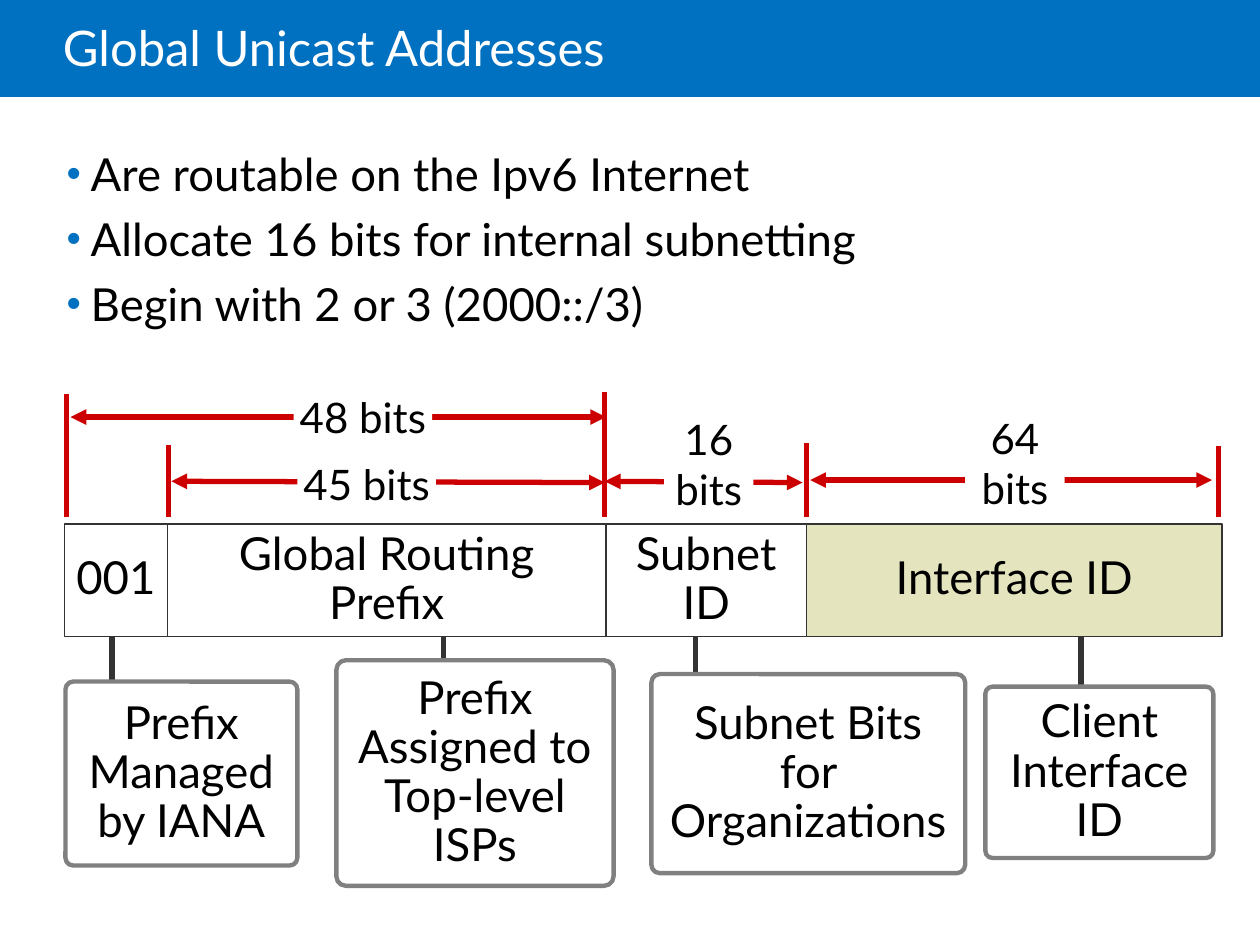
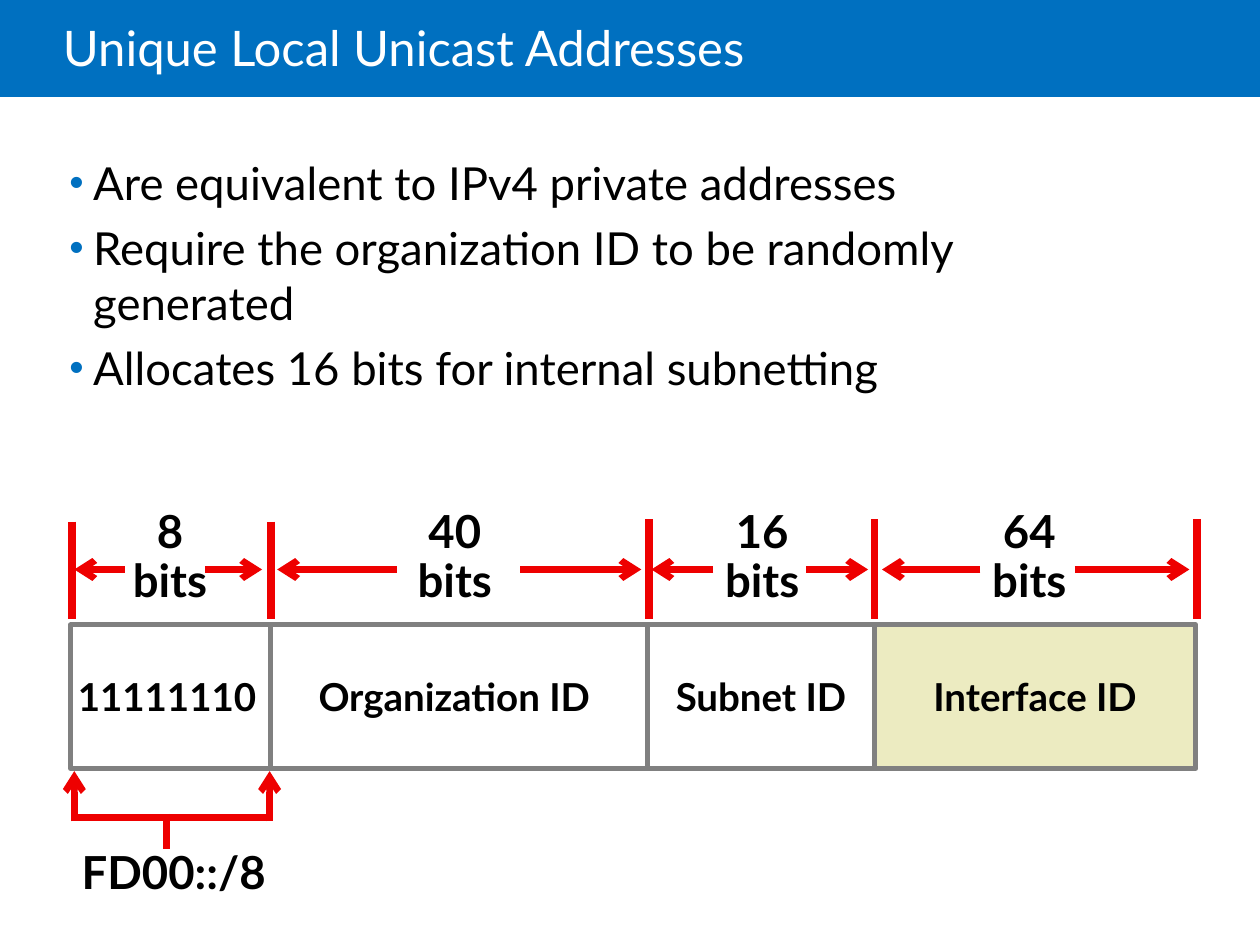
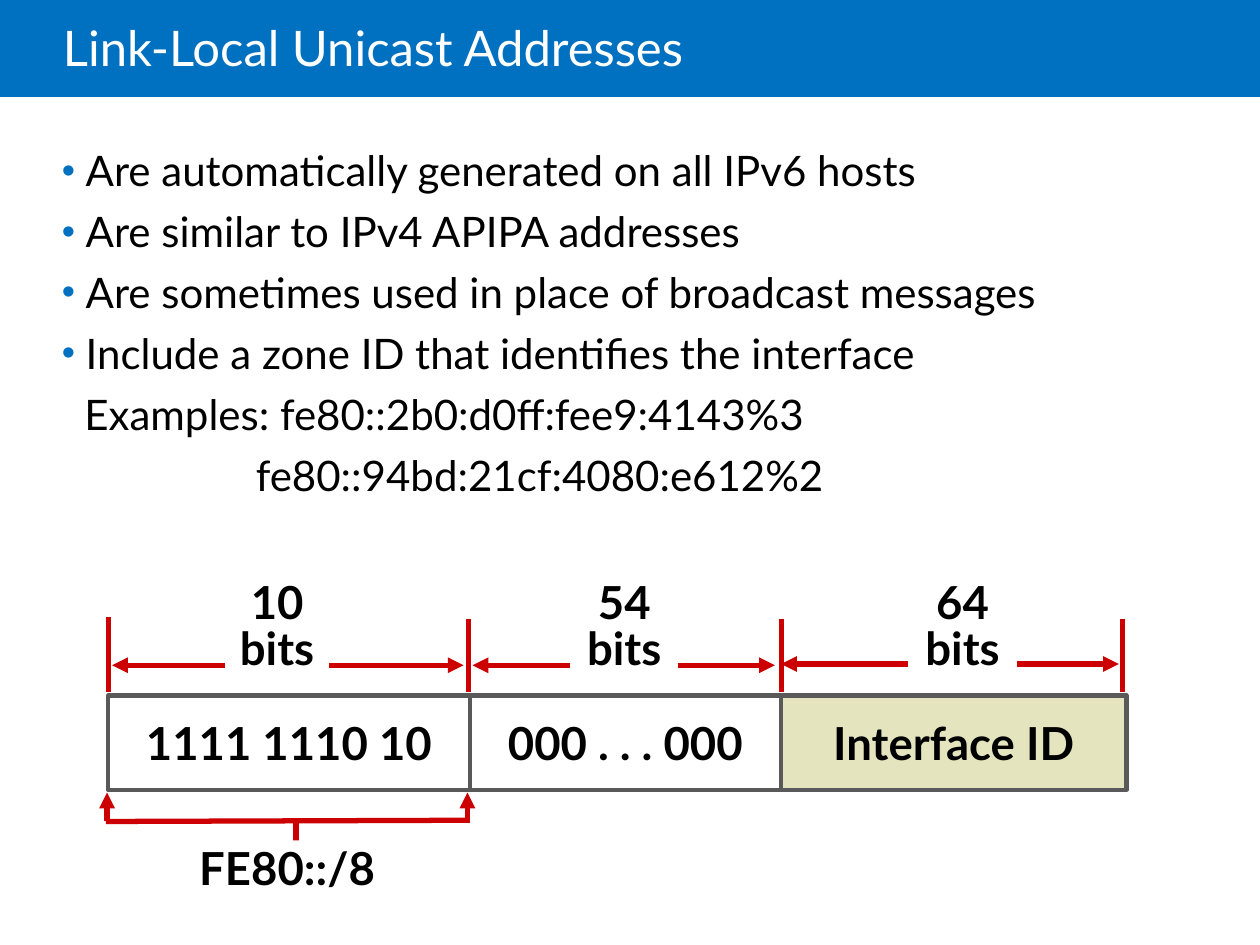
from lxml import etree
from pptx import Presentation
from pptx.dml.color import RGBColor
from pptx.enum import shapes, text
from pptx.oxml.ns import qn
from pptx.util import Inches, Pt

BLUE, WHITE, BLACK = "0070C0", "FFFFFF", "000000"
RED, BRIGHT, DARK, GREY, SLATE = "CC0000", "EE0000", "333333", "808080", "595959"
OLIVE, CREAM = "E4E4BF", "ECEBC1"
RECT = shapes.MSO_SHAPE.RECTANGLE
ROUND = shapes.MSO_SHAPE.ROUNDED_RECTANGLE
TOP, MID = text.MSO_ANCHOR.TOP, text.MSO_ANCHOR.MIDDLE
LEFT, MIDDLE = text.PP_ALIGN.LEFT, text.PP_ALIGN.CENTER
INDENT = 0.19


def rgb(code):
    return RGBColor.from_string(code)


def put(item, **values):
    for name, value in values.items():
        setattr(item, name, value)


def tag(parent, name, **values):
    return etree.SubElement(parent, qn(name), **values)


class Deck:
    font = "Lato"

    def __init__(self):
        self.show = Presentation()
        put(self.show, slide_width=Inches(10), slide_height=Inches(7.5))

    def page(self, title):
        self.slide = self.show.slides.add_slide(self.show.slide_layouts[6])
        self.box((0, 0, 10, 0.77), fill=BLUE)
        self.box((0.5, 0, 8.5, 0.81), [title], 28, kind=None, color=WHITE,
                 align=LEFT, anchor=MID, inset=(0, 0.05, 0.1, 0.05), space=0.85)

    def box(self, at, lines=(), size=26, kind=RECT, fill=None, line=None, width=1, **style):
        spot = [Inches(n) for n in at]
        if kind is None:
            shape = self.slide.shapes.add_textbox(*spot)
        else:
            shape = self.slide.shapes.add_shape(kind, *spot)
            shape.shadow.inherit = False
            if kind == ROUND:
                shape.adjustments[0] = 0.042
            if line:
                shape.line.color.rgb = rgb(line)
                shape.line.width = Pt(width)
            else:
                shape.line.fill.background()
            if fill:
                shape.fill.solid()
                shape.fill.fore_color.rgb = rgb(fill)
            else:
                shape.fill.background()
        if lines:
            self.words(shape.text_frame, lines, size, **style)

    def words(self, frame, lines, size, color=BLACK, bold=False, align=MIDDLE,
              anchor=TOP, inset=(0, 0, 0, 0), space=None, before=0, bullets=0, shifts=()):
        left, top, right, bottom = [Inches(n) for n in inset]
        put(frame, word_wrap=True, vertical_anchor=anchor, margin_left=left,
            margin_top=top, margin_right=right, margin_bottom=bottom)
        for i, line in enumerate(lines):
            para = frame.add_paragraph() if i else frame.paragraphs[0]
            para.text = line
            if i < bullets:
                self.bullet(para)
            elif shifts:
                para._p.get_or_add_pPr().set("marL", str(Inches(shifts[i - bullets])))
            put(para, alignment=align, line_spacing=space)
            if i and before:
                para.space_before = Pt(before)
            put(para.font, name=self.font, size=Pt(size), bold=bold)
            para.font.color.rgb = rgb(color)

    def bullet(self, para):
        props = para._p.get_or_add_pPr()
        props.set("marL", str(Inches(INDENT)))
        props.set("indent", str(-Inches(INDENT)))
        tag(tag(props, "a:buClr"), "a:srgbClr", val=BLUE)
        tag(props, "a:buSzPct", val="90000")
        tag(props, "a:buFont", typeface="Arial")
        tag(props, "a:buChar", char="•")

    def points(self, at, lines, size=26, tail=(), shifts=()):
        self.box(at, [*lines, *tail], size, kind=None, align=LEFT, before=6,
                 bullets=len(lines), shifts=shifts)

    def lines(self, ends, color=RED, width=3, head=None, tail=None):
        for x1, y1, x2, y2 in ends:
            line = self.slide.shapes.add_connector(
                shapes.MSO_CONNECTOR.STRAIGHT, *[Inches(n) for n in (x1, y1, x2, y2)])
            line.line.color.rgb = rgb(color)
            line.line.width = Pt(width)
            stroke = line.line._get_or_add_ln()
            for name, tip in (("a:headEnd", head), ("a:tailEnd", tail)):
                if tip:
                    tag(stroke, name, type=tip)
            tag(line._element.spPr, "a:effectLst")

    def posts(self, marks, foot, **style):
        self.lines([(x, top, x, foot) for x, top in marks], **style)

    def spans(self, ends):
        self.lines(ends, head="triangle", tail="triangle")

    def cells(self, edges, top, height, names, last, **style):
        final = len(edges) - 2
        for i, (left, right) in enumerate(zip(edges, edges[1:])):
            self.box((left, top, right - left, height), names[i] if names else (),
                     fill=last if i == final else None, anchor=MID, **style)


def world(deck):
    deck.page("Global Unicast Addresses")
    deck.lines([(3.52, 5.05, 3.52, 6.45), (0.89, 5.05, 0.89, 5.55),
                (5.52, 5.05, 5.52, 5.55), (8.58, 5.03, 8.58, 6.43)], DARK)
    deck.cells((0.51, 1.33, 4.81, 6.4, 9.7), 4.16, 0.89,
               [["001"], ["Global Routing", "Prefix"], ["Subnet", "ID"], ["Interface ID"]],
               OLIVE, line=DARK, width=0.75, space=0.9)
    deck.spans([(0.56, 3.31, 4.81, 3.31), (1.36, 3.82, 4.8, 3.83),
                (4.8, 3.82, 6.37, 3.83), (6.43, 3.81, 9.62, 3.81)])
    deck.posts([(0.53, 3.13), (1.34, 3.53), (4.8, 3.11), (6.4, 3.52), (9.67, 3.54)], 4.1)
    for name, at in (("48 bits", (2.33, 3.11, 1.1, 0.4)),
                     ("45 bits", (2.36, 3.64, 1.1, 0.4)),
                     ("16 bits", (5.27, 3.28, 0.71, 0.81)),
                     ("64 bits", (7.66, 3.27, 0.79, 0.81))):
        deck.box(at, [name], 24, fill=WHITE, inset=(0.04, 0, 0.04, 0))
    for name, at in (("Prefix Managed\vby IANA", (0.52, 5.41, 1.84, 1.46)),
                     ("Prefix Assigned to Top-level ISPs", (2.67, 5.24, 2.2, 1.79)),
                     ("Subnet Bits for Organizations", (5.17, 5.35, 2.49, 1.58)),
                     ("Client\vInterface ID", (7.82, 5.45, 1.81, 1.36))):
        deck.box(at, [name], kind=ROUND, fill=WHITE, line=GREY, width=2.5,
                 anchor=MID, inset=(0.08, 0.04, 0.08, 0.04), space=0.9)
    deck.points((0.53, 1.16, 7.8, 1.82), [
        "Are routable on the Ipv6 Internet",
        "Allocate 16 bits for internal subnetting",
        "Begin with 2 or 3 (2000::/3)"])


def local(deck):
    deck.page("Unique Local Unicast Addresses")
    deck.cells((0.56, 2.15, 5.14, 6.94, 9.49), 4.96, 1.14, None, CREAM,
               line=GREY, width=2.75)
    for name, left, width in (("11111110", 0.58, 1.49), ("Organization ID", 2.38, 2.45),
                              ("Subnet ID", 5.28, 1.52), ("Interface ID", 7.32, 1.79)):
        deck.box((left, 5.34, width, 0.37), [name], 22, kind=None, bold=True)
    deck.box((0.56, 6.75, 1.64, 0.39), ["FD00::/8"], kind=None, bold=True, space=0.9)
    deck.lines([(1.32, 6.46, 1.32, 6.74), (2.14, 6.49, 0.57, 6.49)], BRIGHT, 4.25)
    deck.posts([(0.57, 4.14), (2.15, 4.14), (5.15, 4.12), (6.94, 4.12), (9.5, 4.12)],
               4.91, color=BRIGHT, width=4.25)
    deck.lines([(x, 6.52, x, 6.12) for x in (0.59, 2.14)]
               + [(start, 4.52, end, 4.52) for start, end in (
                   (0.99, 0.59), (1.63, 2.08), (3.15, 2.2), (4.13, 5.09),
                   (5.66, 5.17), (6.4, 6.89), (7.78, 7), (8.53, 9.44))],
               BRIGHT, 3.75, tail="arrow")
    for bits, left in (("8", 0.96), ("40", 3.22), ("16", 5.66), ("64", 7.78)):
        deck.box((left, 4.04, 0.78, 0.79), [bits, "bits"], kind=None, bold=True, space=0.9)
    deck.points((0.55, 1.23, 7.83, 1.92), [
        "Are equivalent to IPv4 private addresses",
        "Require the organization ID to be randomly generated",
        "Allocates 16 bits for internal subnetting"])


def link(deck):
    deck.page("Link-Local Unicast Addresses")
    deck.cells((0.86, 3.73, 6.2, 8.94), 5.52, 0.75,
               [["1111 1110 10"], ["000 . . . 000"], ["Interface ID"]], OLIVE,
               line=SLATE, width=2.5, bold=True, space=0.9, inset=(0.04, 0.09, 0.04, 0.05))
    deck.posts([(0.86, 4.9), (3.72, 4.91), (6.2, 4.91), (8.91, 4.91)], 5.49)
    deck.spans([(0.89, 5.28, 3.68, 5.28), (3.75, 5.28, 6.15, 5.28),
                (6.2, 5.27, 8.88, 5.27)])
    for name, left, width in (("10 bits", 1.8, 0.8), ("54 bits", 4.54, 0.83),
                              ("64 bits", 7.22, 0.84)):
        deck.box((left, 4.62, width, 0.74), [name], fill=WHITE, line=WHITE, width=2,
                 bold=True, space=0.85)
    deck.lines([(0.84, 6.52, 3.73, 6.51), (2.35, 6.5, 2.35, 6.68)])
    deck.lines([(x, 6.52, x, 6.29) for x in (0.85, 3.71)], tail="triangle")
    deck.box((1.48, 6.67, 1.6, 0.42), ["FE80::/8"], kind=ROUND, fill=WHITE,
             bold=True, anchor=MID)
    deck.points((0.49, 1.15, 9.19, 2.84), [
        "Are automatically generated on all IPv6 hosts",
        "Are similar to IPv4 APIPA addresses",
        "Are sometimes used in place of broadcast messages",
        "Include a zone ID that identifies the interface"], 24,
        tail=["Examples: fe80::2b0:d0ff:fee9:4143%3", "fe80::94bd:21cf:4080:e612%2"],
        shifts=(0.18, 1.54))


def main():
    deck = Deck()
    for draw in (world, local, link):
        draw(deck)
    deck.show.save("out.pptx")


if __name__ == "__main__":
    main()
